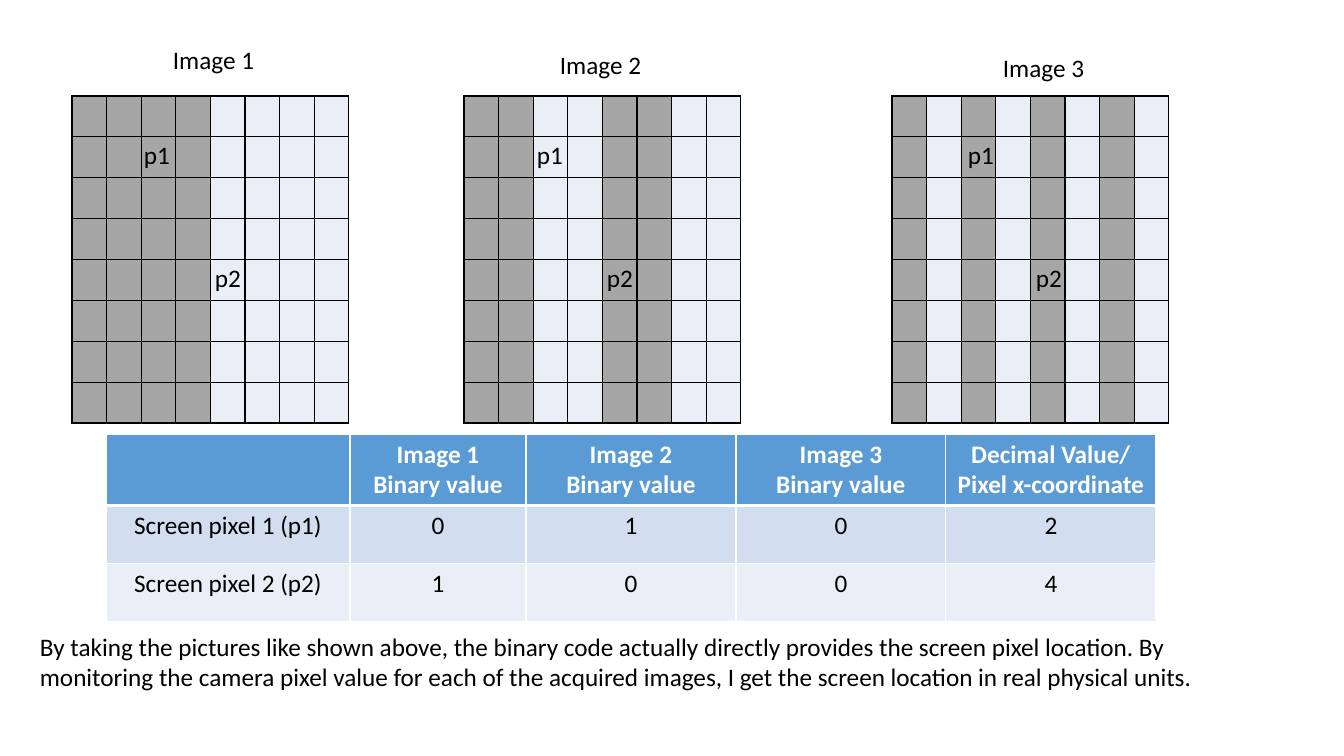
from pptx import Presentation, util as u
from pptx.dml.color import RGBColor
from pptx.enum import text
from pptx.oxml import parse_xml
from pptx.oxml.ns import nsdecls

PX = 914400 / 100.8
BLACK = RGBColor(0x00, 0x00, 0x00)
WHITE = RGBColor(0xFF, 0xFF, 0xFF)
GRAY = RGBColor(0xA6, 0xA6, 0xA6)
PALE = RGBColor(0xEA, 0xEF, 0xF7)
LIGHT_BLUE = RGBColor(0xD2, 0xDE, 0xEF)
BLUE = RGBColor(0x5B, 0x9B, 0xD5)


def write(tf, content, size=18, color=BLACK, bold=False, align=text.PP_ALIGN.LEFT):
    """Write one paragraph per line of content."""
    for i, line in enumerate(content.split("\n")):
        p = tf.add_paragraph() if i else tf.paragraphs[0]
        p.alignment = align
        r = p.add_run()
        r.text = line
        r.font.name = "Calibri"
        r.font.size = u.Pt(size)
        r.font.bold = bold
        r.font.color.rgb = color


def add_grid(x, y, widths, heights, fill_at, line, header_line=1):
    """Add a bordered table whose cell fills come from fill_at(row, column)."""
    tbl = s.shapes.add_table(len(heights), len(widths), u.Emu(int(x * PX)), u.Emu(int(y * PX)),
                             u.Emu(int(sum(widths) * PX)), u.Emu(int(sum(heights) * PX))).table
    tbl.first_row = tbl.horz_banding = False
    for col, width in zip(tbl.columns, widths):
        col.width = u.Emu(int(width * PX))
    for row, height in zip(tbl.rows, heights):
        row.height = u.Emu(int(height * PX))
    for i in range(len(heights)):
        for j in range(len(widths)):
            cell = tbl.cell(i, j)
            tcPr = cell._tc.get_or_add_tcPr()
            for side in "LRTB":
                under_header = (i, side) in ((0, "B"), (1, "T"))
                weight = u.Pt(header_line if under_header else 1)
                tcPr.append(parse_xml(
                    f'<a:ln{side} {nsdecls("a")} w="{weight}"><a:solidFill>'
                    f'<a:srgbClr val="{line}"/></a:solidFill></a:ln{side}>'))
            cell.fill.solid()
            cell.fill.fore_color.rgb = fill_at(i, j)
    return tbl


prs = Presentation()
prs.slide_width = u.Emu(int(1344 * PX))
prs.slide_height = u.Emu(int(756 * PX))
s = prs.slides.add_slide(prs.slide_layouts[6])

# Stripe patterns: each image halves the stripe width of the one before
for x, stripe in ((72, 4), (464, 2), (892, 1)):
    add_grid(x, 96, [277 / 8] * 8, [327 / 8] * 8,
             lambda i, j: PALE if j // stripe % 2 else GRAY, BLACK)

# Binary codes of the two pixels
rows = [
    ["", "Image 1\nBinary value", "Image 2\nBinary value", "Image 3\nBinary value",
     "Decimal Value/\nPixel x-coordinate"],
    ["Screen pixel 1 (p1)", "0", "1", "0", "2"],
    ["Screen pixel 2 (p2)", "1", "0", "0", "4"],
]
row_fills = [BLUE, LIGHT_BLUE, PALE]
codes = add_grid(106, 434, [244, 176, 210, 210, 210], [70, 58, 58],
                 lambda i, j: row_fills[i], WHITE, header_line=3)
for i, row in enumerate(rows):
    for j, value in enumerate(row):
        if value:
            write(codes.cell(i, j).text_frame, value, bold=i == 0,
                  color=BLACK if i else WHITE, align=text.PP_ALIGN.CENTER)

# Pixel marks, captions and explanation
labels = [("p1", x, 134, 51, 40) for x in (134, 527, 958)]
labels += [("p2", x, 257, 51, 40) for x in (205, 597, 1026)]
labels += [
    ("Image 1", 163, 39, 103, 40),
    ("Image 2", 550, 44, 103, 40),
    ("Image 3", 993, 47, 103, 40),
    ("By taking the pictures like shown above, the binary code actually directly provides "
     "the screen pixel location. By monitoring the camera pixel value for each of the "
     "acquired images, I get the screen location in real physical units.", 30, 626, 1185, 71),
]
for content, *box in labels:
    tf = s.shapes.add_textbox(*[u.Emu(int(v * PX)) for v in box]).text_frame
    tf.word_wrap = not content.startswith("Image")
    write(tf, content)

prs.save("out.pptx")
